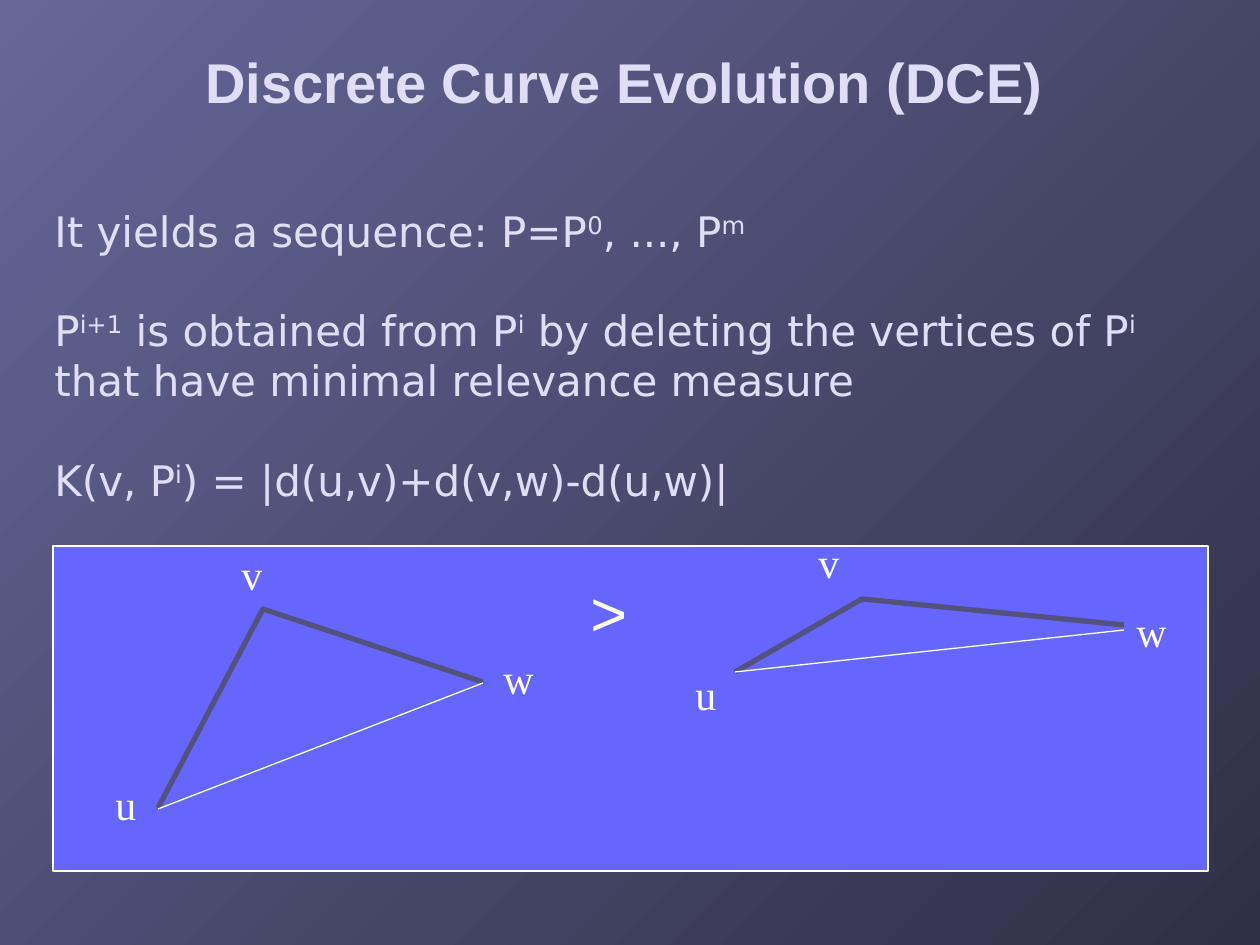
"""Build the slide on Discrete Curve Evolution."""
from lxml import etree
from pptx import Presentation
from pptx.dml.color import RGBColor
from pptx.enum.shapes import MSO_CONNECTOR, MSO_SHAPE
from pptx.enum.text import MSO_ANCHOR, PP_ALIGN
from pptx.oxml.ns import qn
from pptx.util import Emu, Pt

STRAIGHT = MSO_CONNECTOR.STRAIGHT
RECTANGLE = MSO_SHAPE.RECTANGLE
MIDDLE = MSO_ANCHOR.MIDDLE
CENTER = PP_ALIGN.CENTER

EMU_PER_PX = 914400 / 126
DARK = RGBColor(0x2F, 0x2F, 0x46)
LIGHT = RGBColor(0x66, 0x66, 0x99)
PANEL = RGBColor(0x66, 0x66, 0xFF)
CURVE = RGBColor(0x52, 0x52, 0x7C)
LAVENDER = RGBColor(0xDF, 0xDE, 0xF6)
WHITE = RGBColor(0xFF, 0xFF, 0xFF)

TITLE = "Discrete Curve Evolution (DCE)"
# Runs alternate between normal and superscript text.
BODY = [
    ["It yields a sequence: P=P", "0", ", ..., P", "m"],
    ["P", "i+1", " is obtained from P", "i", " by deleting the vertices of P", "i",
     " that have minimal relevance measure"],
    ["K(v, P", "i", ") = |d(u,v)+d(v,w)-d(u,w)|"],
]
TRIANGLES = [
    {"curve": [(158, 808), (263, 609), (483, 682)],
     "chord": [(483, 683), (158, 809)],
     "labels": [("u", 103, 772, 45), ("v", 229, 542, 45), ("w", 491, 646, 55)]},
    {"curve": [(735, 672), (862, 599), (1124, 625)],
     "chord": [(735, 672), (1124, 630)],
     "labels": [("u", 683, 662, 45), ("v", 806, 530, 45), ("w", 1124, 599, 55)]},
]


def px(*values):
    return [Emu(round(value * EMU_PER_PX)) for value in values]


def style_line(shape, color, width):
    shape.line.color.rgb = color
    shape.line.width = Pt(width)


def style_runs(paragraph, font_name, size, color, bold=False):
    for run in paragraph.runs:
        run.font.name = font_name
        run.font.size = Pt(size)
        run.font.color.rgb = color
        run.font.bold = bold


def add_text(slide, box, text, font_name, size, color, bold=False, wrap=False):
    shape = slide.shapes.add_textbox(*px(*box))
    frame = shape.text_frame
    frame.word_wrap = wrap
    frame.text = text
    style_runs(frame.paragraphs[0], font_name, size, color, bold)
    return frame


def add_body(slide):
    frame = add_text(slide, (42, 199, 1176, 315), "", "DejaVu Sans", 24, LAVENDER, wrap=True)
    for index, pieces in enumerate(BODY):
        paragraph = frame.add_paragraph() if index else frame.paragraphs[0]
        if index:
            paragraph.space_before = Pt(28)
        for position, piece in enumerate(pieces):
            run = paragraph.add_run()
            run.text = piece
            if position % 2:
                run._r.get_or_add_rPr().set("baseline", "30000")
        style_runs(paragraph, "DejaVu Sans", 24, LAVENDER)


def add_triangle(slide, triangle):
    start, *rest = triangle["curve"]
    builder = slide.shapes.build_freeform(*start, scale=EMU_PER_PX)
    builder.add_line_segments(rest, close=False)
    curve = builder.convert_to_shape()
    curve.shadow.inherit = False
    curve.fill.background()
    style_line(curve, CURVE, 3)

    begin, end = triangle["chord"]
    chord = slide.shapes.add_connector(STRAIGHT, *px(*begin, *end))
    style_line(chord, WHITE, 0.75)
    etree.SubElement(chord._element.spPr, qn("a:effectLst"))

    for text, left, top, width in triangle["labels"]:
        add_text(slide, (left, top, width, 63), text, "Times New Roman", 24, WHITE)


def main():
    presentation = Presentation()
    presentation.slide_width, presentation.slide_height = px(1260, 945)
    slide = presentation.slides.add_slide(presentation.slide_layouts[6])

    background = slide.background.fill
    background.gradient()
    background.gradient_angle = 135
    for stop, position, color in zip(background.gradient_stops, (0, 1), (DARK, LIGHT)):
        stop.position = position
        stop.color.rgb = color

    panel = slide.shapes.add_shape(RECTANGLE, *px(53, 546, 1155, 325))
    panel.shadow.inherit = False
    panel.fill.solid()
    panel.fill.fore_color.rgb = PANEL
    style_line(panel, WHITE, 0.75)

    title = add_text(slide, (84, 42, 1081, 79), TITLE, "Arial", 32, LAVENDER, bold=True, wrap=True)
    title.vertical_anchor = MIDDLE
    title.paragraphs[0].alignment = CENTER

    for triangle in TRIANGLES:
        add_triangle(slide, triangle)
    add_body(slide)
    add_text(slide, (578, 567, 62, 88), ">", "Arial", 36, WHITE)
    presentation.save("out.pptx")


if __name__ == "__main__":
    main()
